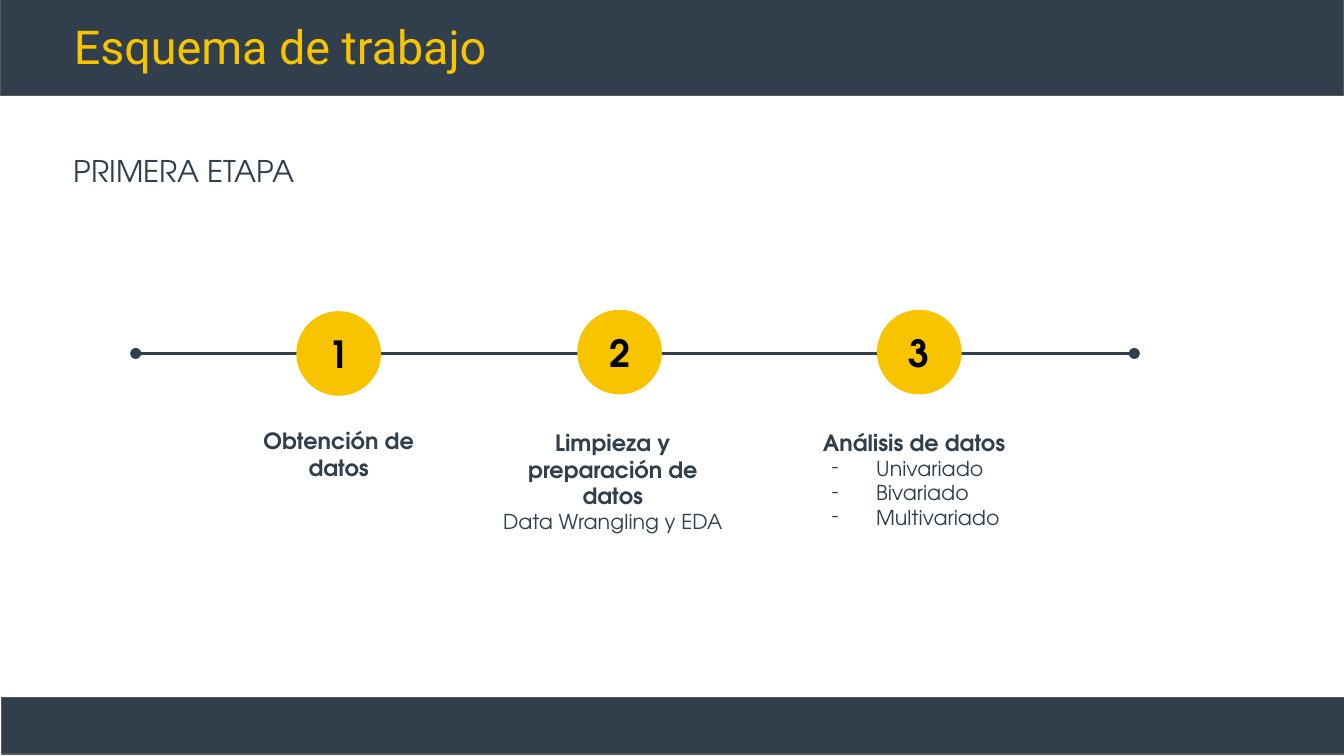
from dataclasses import dataclass

from lxml import etree
from pptx import Presentation
from pptx.dml.color import RGBColor
from pptx.enum.shapes import MSO_CONNECTOR, MSO_SHAPE
from pptx.enum.text import MSO_ANCHOR, MSO_AUTO_SIZE, PP_ALIGN
from pptx.oxml.ns import qn
from pptx.util import Inches, Pt

RECT, OVAL, STRAIGHT = MSO_SHAPE.RECTANGLE, MSO_SHAPE.OVAL, MSO_CONNECTOR.STRAIGHT
LEFT, CENTER, JUSTIFY = PP_ALIGN.LEFT, PP_ALIGN.CENTER, PP_ALIGN.JUSTIFY
TOP, MIDDLE = MSO_ANCHOR.TOP, MSO_ANCHOR.MIDDLE
NO_FIT = MSO_AUTO_SIZE.NONE


@dataclass(frozen=True)
class Theme:
    dark: str = "303F4B"
    accent: str = "F8C400"
    border: str = "595959"
    black: str = "000000"
    title_font: str = "Roboto"
    body_font: str = "TeX Gyre Adventor"
    title: int = 25
    number: int = 20
    subtitle: int = 16
    heading: int = 12
    detail: int = 11


def rgb(value):
    return RGBColor.from_string(value)


def setup_frame(tf, anchor=TOP):
    tf.word_wrap = True
    tf.auto_size = NO_FIT
    tf.vertical_anchor = anchor
    tf.margin_left = tf.margin_right = Inches(0.1)
    tf.margin_top = tf.margin_bottom = Inches(0.1)


def write(p, text, *, font, size, color, bold=False, align=LEFT, spacing=1.0):
    p.alignment = align
    p.line_spacing = spacing
    r = p.add_run()
    r.text = text
    r.font.name = font
    r.font.size = Pt(size)
    r.font.bold = bold
    r.font.color.rgb = rgb(color)


def add_dash(p, color, font):
    pPr = p._p.get_or_add_pPr()
    pPr.set("marL", str(Inches(0.5)))
    pPr.set("indent", str(Inches(-0.33)))
    bu_color = etree.SubElement(pPr, qn("a:buClr"))
    etree.SubElement(bu_color, qn("a:srgbClr"), val=color)
    etree.SubElement(pPr, qn("a:buFont"), typeface=font)
    etree.SubElement(pPr, qn("a:buChar"), char="-")


class SlideBuilder:
    def __init__(self, s, theme):
        self.s = s
        self.theme = theme

    def shape(self, kind, x, y, w, h, fill, line):
        sp = self.s.shapes.add_shape(kind, Inches(x), Inches(y), Inches(w), Inches(h))
        sp.shadow.inherit = False
        sp.fill.solid()
        sp.fill.fore_color.rgb = rgb(fill)
        sp.line.color.rgb = rgb(line)
        sp.line.width = Pt(0.75)
        return sp

    def band(self, x, y, h):
        return self.shape(RECT, x, y, 10, h, self.theme.dark, self.theme.border)

    def title(self, text, x, y, w, h):
        t, sp = self.theme, self.s.shapes.title
        sp.left, sp.top, sp.width, sp.height = (Inches(v) for v in (x, y, w, h))
        setup_frame(sp.text_frame)
        write(sp.text_frame.paragraphs[0], text, font=t.title_font,
              size=t.title, color=t.accent)
        return sp

    def text_box(self, x, y, w, h):
        sp = self.s.shapes.add_textbox(Inches(x), Inches(y), Inches(w), Inches(h))
        setup_frame(sp.text_frame)
        return sp.text_frame

    def subtitle(self, text, x, y, w, h):
        t = self.theme
        write(self.text_box(x, y, w, h).paragraphs[0], text, font=t.body_font,
              size=t.subtitle, color=t.dark, align=JUSTIFY, spacing=1.15)

    def timeline(self, x1, x2, y):
        line = self.s.shapes.add_connector(
            STRAIGHT, Inches(x1), Inches(y), Inches(x2), Inches(y))
        line.line.color.rgb = rgb(self.theme.dark)
        line.line.width = Pt(1.5)
        ln = line.line._get_or_add_ln()
        for end in ("a:headEnd", "a:tailEnd"):
            etree.SubElement(ln, qn(end), type="oval")
        etree.SubElement(line._element.spPr, qn("a:effectLst"))

    def marker(self, number, x, y, size=0.62):
        t = self.theme
        sp = self.shape(OVAL, x, y, size, size, t.accent, t.accent)
        setup_frame(sp.text_frame, MIDDLE)
        write(sp.text_frame.paragraphs[0], str(number), font=t.body_font,
              size=t.number, color=t.black, bold=True, align=CENTER)

    def step_text(self, heading, details, dashed, x, y, w):
        t = self.theme
        tf = self.text_box(x, y, w, 0.42)
        write(tf.paragraphs[0], heading, font=t.body_font, size=t.heading,
              color=t.dark, bold=True, align=CENTER)
        for text in details:
            p = tf.add_paragraph()
            write(p, text, font=t.body_font, size=t.detail, color=t.dark,
                  align=LEFT if dashed else CENTER)
            if dashed:
                add_dash(p, t.dark, t.body_font)


# Marker position, text position and width, heading, details, dashed list
STEPS = [
    ((2.21, 2.32), (1.71, 3.08, 1.62), "Obtención de datos", [], False),
    ((4.3, 2.31), (3.6, 3.09, 1.92), "Limpieza y preparación de datos",
     ["Data Wrangling y EDA"], False),
    ((6.53, 2.31), (5.92, 3.09, 1.81), "Análisis de datos ",
     ["Univariado", "Bivariado", "Multivariado"], True),
]


def main():
    # Widescreen page, 16:9
    prs = Presentation()
    prs.slide_width = Inches(10)
    prs.slide_height = Inches(10 * 9 / 16)
    s = prs.slides.add_slide(prs.slide_layouts[5])
    b = SlideBuilder(s, Theme())

    # Header, with its band behind the title
    header = b.band(0, -0.04, 0.75)
    title = b.title("Esquema de trabajo", 0.45, 0.03, 5.75, 0.62)
    title._element.addprevious(header._element)
    b.subtitle("PRIMERA ETAPA", 0.45, 1, 4.12, 0.87)

    # Footer
    b.band(0.01, 5.19, 0.42)

    # Timeline and its steps
    b.timeline(1.01, 8.44, 2.63)
    for number, (spot, area, heading, details, dashed) in enumerate(STEPS, 1):
        b.marker(number, *spot)
        b.step_text(heading, details, dashed, *area)

    prs.save("out.pptx")


if __name__ == "__main__":
    main()
